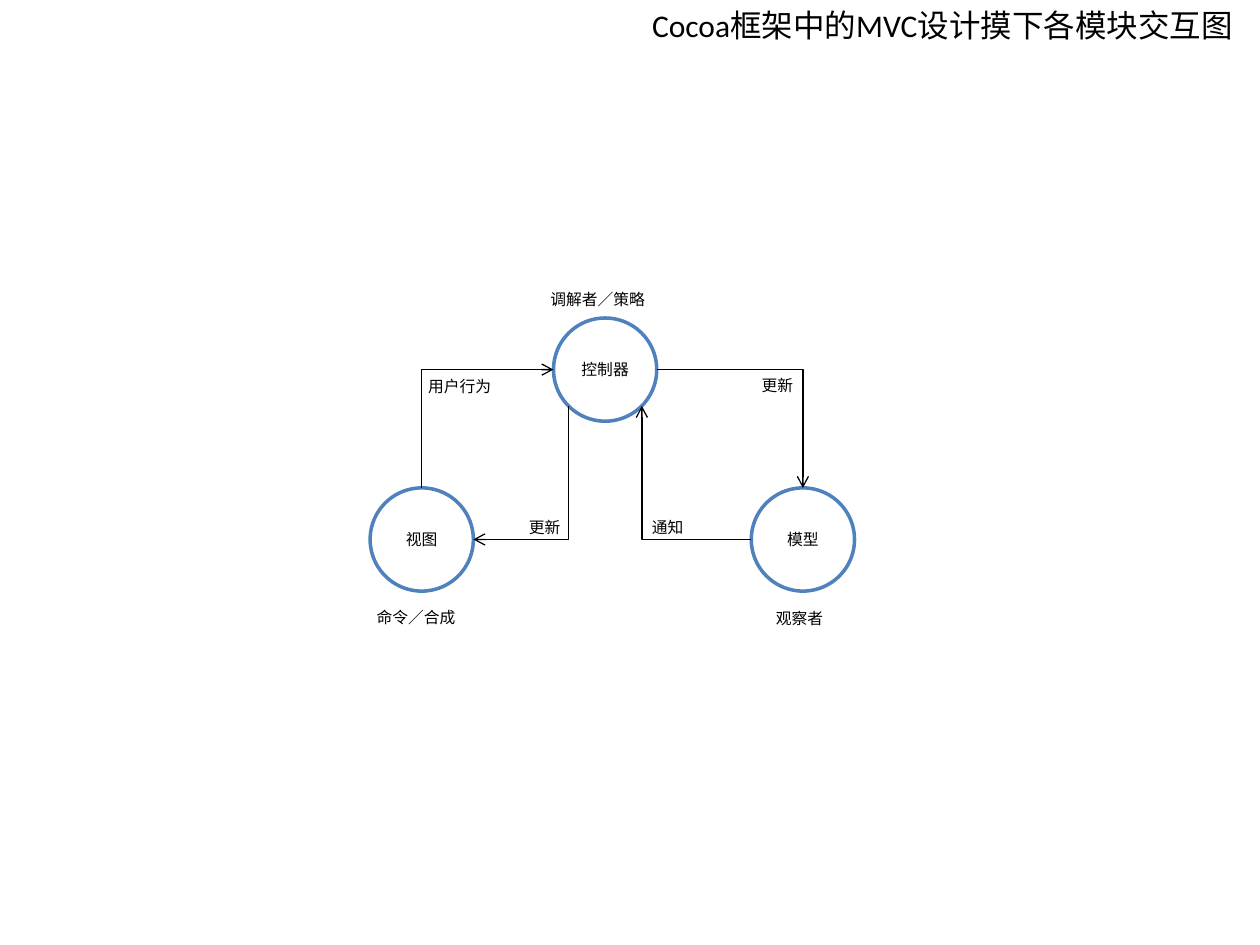
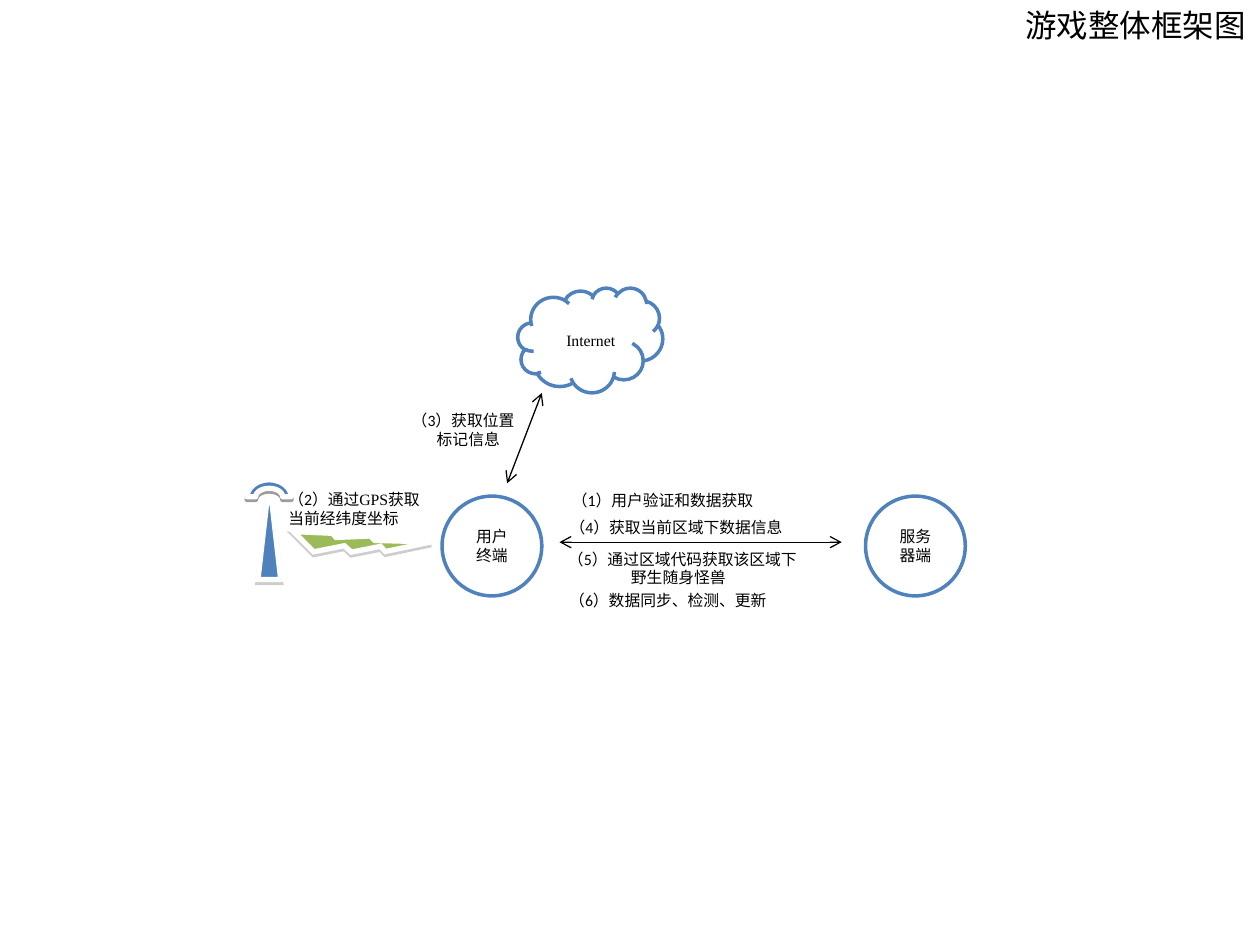
from dataclasses import dataclass

from lxml.etree import SubElement
from pptx import Presentation
from pptx.dml.color import RGBColor
from pptx.enum.shapes import MSO_CONNECTOR, MSO_SHAPE
from pptx.enum.text import MSO_ANCHOR, MSO_AUTO_SIZE, PP_ALIGN
from pptx.oxml.ns import qn
from pptx.util import Pt

BLACK = RGBColor(0x00, 0x00, 0x00)
WHITE = RGBColor(0xFF, 0xFF, 0xFF)
BLUE = RGBColor(0x4F, 0x81, 0xBD)
GREEN = RGBColor(0x9B, 0xBB, 0x59)
GREY = RGBColor(0x80, 0x80, 0x80)

SANS = "Calibri"
SERIF = "Times New Roman"
TITLE_SIZE = 18
BODY_SIZE = 9
LINE_HEIGHT = 11
BOX_PADDING = 7
LABEL_FRAME = {"word_wrap": False, "auto_size": MSO_AUTO_SIZE.SHAPE_TO_FIT_TEXT}
NODE_FRAME = {"word_wrap": True, "vertical_anchor": MSO_ANCHOR.MIDDLE}


@dataclass(frozen=True)
class Span:
    text: str
    font: str = SANS


@dataclass(frozen=True)
class Line:
    spans: tuple[Span, ...]
    indent: float = 0


@dataclass(frozen=True)
class Label:
    left: float
    top: float
    width: float
    lines: tuple[Line, ...]
    size: float = BODY_SIZE


@dataclass(frozen=True)
class Node:
    left: float
    top: float
    width: float
    height: float
    lines: tuple[Line, ...]
    preset: MSO_SHAPE = MSO_SHAPE.OVAL
    margin_left: float = 7.2
    margin_top: float = 3.6


@dataclass(frozen=True)
class Arrow:
    begin: tuple[float, float]
    end: tuple[float, float]
    heads: tuple[str, ...]
    bent: bool = False


@dataclass(frozen=True)
class Icon:
    preset: MSO_SHAPE
    left: float
    top: float
    width: float
    height: float
    color: RGBColor
    shadow: RGBColor = GREY
    rotation: float = 0
    mitered: bool = True


def plain(*texts: str, font: str = SANS) -> tuple[Line, ...]:
    return tuple(Line((Span(text, font),)) for text in texts)


def apply(target, values: dict) -> None:
    for name, value in values.items():
        setattr(target, name, value)


def write(frame, lines: tuple[Line, ...], size: float, alignment=PP_ALIGN.LEFT) -> None:
    for index, line in enumerate(lines):
        para = frame.paragraphs[0] if index == 0 else frame.add_paragraph()
        para.alignment = alignment
        if line.indent:
            para._p.get_or_add_pPr().set("marL", str(Pt(line.indent)))
        for span in line.spans:
            run = para.add_run()
            run.text = span.text
            apply(run.font, {"name": span.font, "size": Pt(size)})
            run.font.color.rgb = BLACK


def paint(shape, fill: RGBColor, line: RGBColor, width: float) -> None:
    shape.shadow.inherit = False
    shape.fill.solid()
    shape.fill.fore_color.rgb = fill
    shape.line.color.rgb = line
    shape.line.width = Pt(width)


def draw_label(page, label: Label) -> None:
    height = BOX_PADDING + len(label.lines) * LINE_HEIGHT * label.size / BODY_SIZE
    box = page.shapes.add_textbox(Pt(label.left), Pt(label.top), Pt(label.width), Pt(height))
    apply(box.text_frame, LABEL_FRAME)
    write(box.text_frame, label.lines, label.size)


def draw_node(page, node: Node) -> None:
    shape = page.shapes.add_shape(
        node.preset, Pt(node.left), Pt(node.top), Pt(node.width), Pt(node.height))
    paint(shape, WHITE, BLUE, 2)
    margins = {"margin_left": Pt(node.margin_left), "margin_top": Pt(node.margin_top)}
    apply(shape.text_frame, NODE_FRAME | margins)
    write(shape.text_frame, node.lines, BODY_SIZE, PP_ALIGN.CENTER)


def draw_arrow(page, arrow: Arrow) -> None:
    kind = MSO_CONNECTOR.ELBOW if arrow.bent else MSO_CONNECTOR.STRAIGHT
    connector = page.shapes.add_connector(
        kind, *(Pt(value) for value in arrow.begin + arrow.end))
    connector.line.color.rgb = BLACK
    connector.line.width = Pt(0.75)
    properties = connector._element.spPr
    if arrow.bent:
        properties.find(qn("a:prstGeom")).set("prst", "bentConnector2")
    for head in arrow.heads:
        SubElement(properties.find(qn("a:ln")), qn(f"a:{head}"), type="arrow")
    SubElement(properties, qn("a:effectLst"))


def draw_icon(page, icon: Icon) -> None:
    shape = page.shapes.add_shape(
        icon.preset, Pt(icon.left), Pt(icon.top), Pt(icon.width), Pt(icon.height))
    shape.rotation = icon.rotation
    paint(shape, icon.color, WHITE, 3)
    properties = shape._element.spPr
    if icon.mitered:
        SubElement(properties.find(qn("a:ln")), qn("a:miter"), lim="800000")
    shadow = SubElement(properties.find(qn("a:effectLst")), qn("a:outerShdw"), blurRad="0",
                        dist=str(Pt(1.6)), dir="5400000", rotWithShape="0")
    color = SubElement(shadow, qn("a:srgbClr"), val=str(icon.shadow))
    SubElement(color, qn("a:alpha"), val="38000")


DRAWERS = {Label: draw_label, Node: draw_node, Arrow: draw_arrow, Icon: draw_icon}

MVC_SIZE = 59
CONTROLLER_LEFT, CONTROLLER_TOP = 316.3, 181.7
VIEW_LEFT, MODEL_LEFT, LOWER_TOP = 211.5, 429.3, 278.8
RADIUS = MVC_SIZE / 2
CONTROLLER_MIDDLE = CONTROLLER_TOP + RADIUS
LOWER_MIDDLE = LOWER_TOP + RADIUS
DIAGONAL_LEFT, DIAGONAL_RIGHT, DIAGONAL_BOTTOM = 324.9, 366.8, 232

MVC_PAGE = (
    Label(365.5, 0, 359.3, plain("Cocoa框架中的MVC设计摸下各模块交互图"), TITLE_SIZE),
    Node(CONTROLLER_LEFT, CONTROLLER_TOP, MVC_SIZE, MVC_SIZE, plain("控制器")),
    Node(VIEW_LEFT, LOWER_TOP, MVC_SIZE, MVC_SIZE, plain("视图")),
    Node(MODEL_LEFT, LOWER_TOP, MVC_SIZE, MVC_SIZE, plain("模型")),
    Arrow((CONTROLLER_LEFT, CONTROLLER_MIDDLE), (VIEW_LEFT + RADIUS, LOWER_TOP),
          ("headEnd",), True),
    Arrow((VIEW_LEFT + MVC_SIZE, LOWER_MIDDLE), (DIAGONAL_LEFT, DIAGONAL_BOTTOM),
          ("headEnd",), True),
    Arrow((CONTROLLER_LEFT + MVC_SIZE, CONTROLLER_MIDDLE), (MODEL_LEFT + RADIUS, LOWER_TOP),
          ("tailEnd",), True),
    Arrow((MODEL_LEFT, LOWER_MIDDLE), (DIAGONAL_RIGHT, DIAGONAL_BOTTOM),
          ("tailEnd",), True),
    Label(237.6, 211.7, 54, plain("用户行为")),
    Label(428.2, 211, 36, plain("更新")),
    Label(295.2, 292.3, 36, plain("更新")),
    Label(365.4, 292.3, 36, plain("通知")),
    Label(208.1, 343.6, 63, plain("命令／合成")),
    Label(436.3, 344.2, 45, plain("观察者")),
    Label(307.4, 162, 72, plain("调解者／策略")),
)

END_SIZE = 57
END_TOP = 283.5
BOTH_HEADS = ("headEnd", "tailEnd")

GAME_PAGE = (
    Label(578.9, 0, 140.4, plain("游戏整体框架图"), TITLE_SIZE),
    Icon(MSO_SHAPE.ISOSCELES_TRIANGLE, 147.4, 274.3, 13, 56.9, BLUE),
    Icon(MSO_SHAPE.BLOCK_ARC, 141.2, 274.2, 25.2, 19.4, BLUE, BLACK, mitered=False),
    Icon(MSO_SHAPE.LIGHTNING_BOLT, 195.2, 271.9, 21.6, 77.8, GREEN, rotation=283.9),
    Node(295.9, 164.5, 82.8, 59.8, plain("Internet", font=SERIF), MSO_SHAPE.CLOUD,
         margin_left=13.5, margin_top=6.5),
    Node(252.6, END_TOP, END_SIZE, END_SIZE, plain("用户", "终端")),
    Label(157.7, 276.5, 102, (
        Line((Span("（2）通过"), Span("GPS", SERIF), Span("获取"))),
        *plain("当前经纬度坐标"),
    )),
    Label(228.2, 231.1, 95, (*plain("（3）获取位置"), Line((Span("标记信息"),), 14.3))),
    Arrow((309.6, 224.6), (289.8, 276.2), BOTH_HEADS),
    Label(319.7, 276.9, 130, plain("（1）用户验证和数据获取")),
    Node(494.6, END_TOP, END_SIZE, END_SIZE, plain("服务", "器端")),
    Arrow((319.7, 309.8), (481, 309.8), BOTH_HEADS),
    Label(318.4, 292.3, 150, plain("（4）获取当前区域下数据信息")),
    Label(317.5, 310.3, 160, (
        *plain("（5）通过区域代码获取该区域下"), Line((Span("野生随身怪兽"),), 36))),
    Label(318.2, 334.1, 140, plain("（6）数据同步、检测、更新")),
)


def main() -> None:
    deck = Presentation()
    apply(deck, {"slide_width": Pt(720), "slide_height": Pt(540)})
    for items in (MVC_PAGE, GAME_PAGE):
        page = deck.slides.add_slide(deck.slide_layouts[6])
        for item in items:
            DRAWERS[type(item)](page, item)
    deck.save("out.pptx")


if __name__ == "__main__":
    main()
